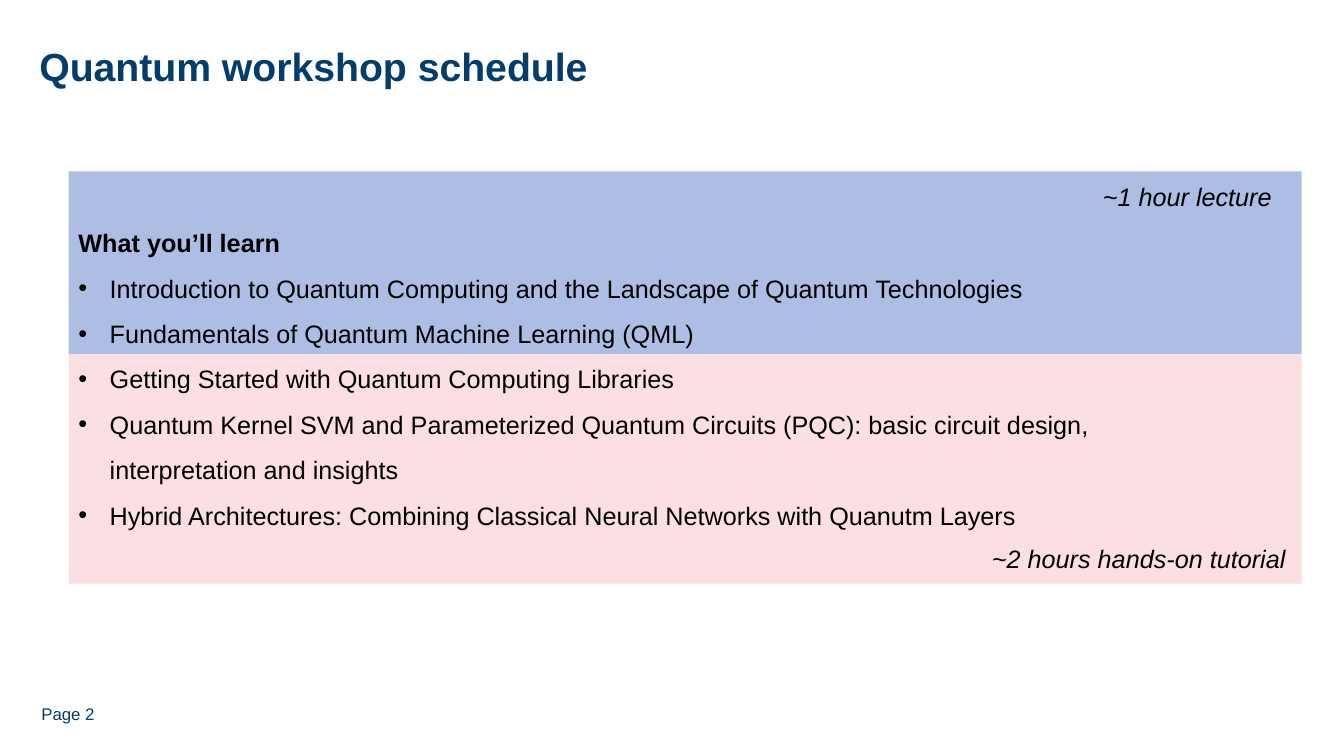
import pptx
import pptx.util
import pptx.dml.color
import pptx.enum.shapes
import pptx.enum.text
from lxml import etree

TITLE = "Quantum workshop schedule"
PAGE = "Page 2"
HEAD = "What you’ll learn"
TOPICS = [
    "Introduction to Quantum Computing and the Landscape of Quantum Technologies",
    "Fundamentals of Quantum Machine Learning (QML)",
    "Getting Started with Quantum Computing Libraries",
    "Quantum Kernel SVM and Parameterized Quantum Circuits (PQC): "
    "basic circuit design, interpretation and insights",
    "Hybrid Architectures: Combining Classical Neural Networks with Quanutm Layers",
]
COLORS = {"navy": "023D6B", "blue": "ADBDE3", "pink": "FBDFE3", "black": "000000"}
WIDE, HIGH = 13.33, 7.5
LEFT, TOP, RIGHT = 0.68, 1.7, 12.91
BANDS = [("blue", 1.81), ("pink", 2.28)]
NOTES = [("~1 hour lecture", 10.84, 1.75), ("~2 hours hands-on tutorial", 9.74, 5.34)]
INDENT = 0.31

Inch = pptx.util.Inches


def color(name):
    return pptx.dml.color.RGBColor.from_string(COLORS[name])


def style(para, size, name, bold=False, italic=False):
    font = para.font
    font.name, font.size = "Arial", pptx.util.Pt(size)
    font.bold, font.italic = bold, italic
    font.color.rgb = color(name)


def clear(frame):
    frame.margin_left = frame.margin_right = 0
    frame.margin_top = frame.margin_bottom = 0


def bullet(para):
    props = para._p.get_or_add_pPr()
    props.set("marL", str(Inch(INDENT)))
    props.set("indent", str(-Inch(INDENT)))
    tag = pptx.oxml.ns.qn
    etree.SubElement(props, tag("a:buFont")).set("typeface", "Arial")
    etree.SubElement(props, tag("a:buChar")).set("char", "•")
    para.line_spacing = 1.5


def box(slide, x, y, w, h):
    frame = slide.shapes.add_textbox(Inch(x), Inch(y), Inch(w), Inch(h)).text_frame
    frame.word_wrap = True
    return frame


def main():
    deck = pptx.Presentation()
    deck.slide_width, deck.slide_height = Inch(WIDE), Inch(HIGH)
    slide = deck.slides.add_slide(deck.slide_layouts.get_by_name("Title Only"))

    title = slide.shapes.title
    title.left, title.top = Inch(0.39), Inch(0.35)
    title.width, title.height = Inch(12.52), Inch(0.72)
    frame = title.text_frame
    frame.text = TITLE
    frame.vertical_anchor = pptx.enum.text.MSO_ANCHOR.TOP
    frame.auto_size = pptx.enum.text.MSO_AUTO_SIZE.NONE
    clear(frame)
    para = frame.paragraphs[0]
    para.alignment = pptx.enum.text.PP_ALIGN.LEFT
    para.line_spacing = 1.14
    style(para, 28, "navy", bold=True)

    frame = box(slide, 0.41, 6.98, 0.79, 0.24)
    clear(frame)
    frame.text = PAGE
    style(frame.paragraphs[0], 12, "navy")

    y = TOP
    for name, high in BANDS:
        band = slide.shapes.add_shape(
            pptx.enum.shapes.MSO_SHAPE.RECTANGLE,
            Inch(LEFT), Inch(y), Inch(RIGHT - LEFT), Inch(high))
        band.shadow.inherit = False
        band.fill.solid()
        band.fill.fore_color.rgb = color(name)
        band.line.fill.background()
        y += high

    frame = box(slide, LEFT, 2.21, 10.71, 3.07)
    frame.text = HEAD
    style(frame.paragraphs[0], 18, "black", bold=True)
    for topic in TOPICS:
        para = frame.add_paragraph()
        para.text = topic
        bullet(para)
        style(para, 18, "black")

    for text, x, y in NOTES:
        frame = box(slide, x, y, WIDE - x, 0.4)
        frame.text = text
        style(frame.paragraphs[0], 18, "black", italic=True)

    deck.save("out.pptx")


if __name__ == "__main__":
    main()
